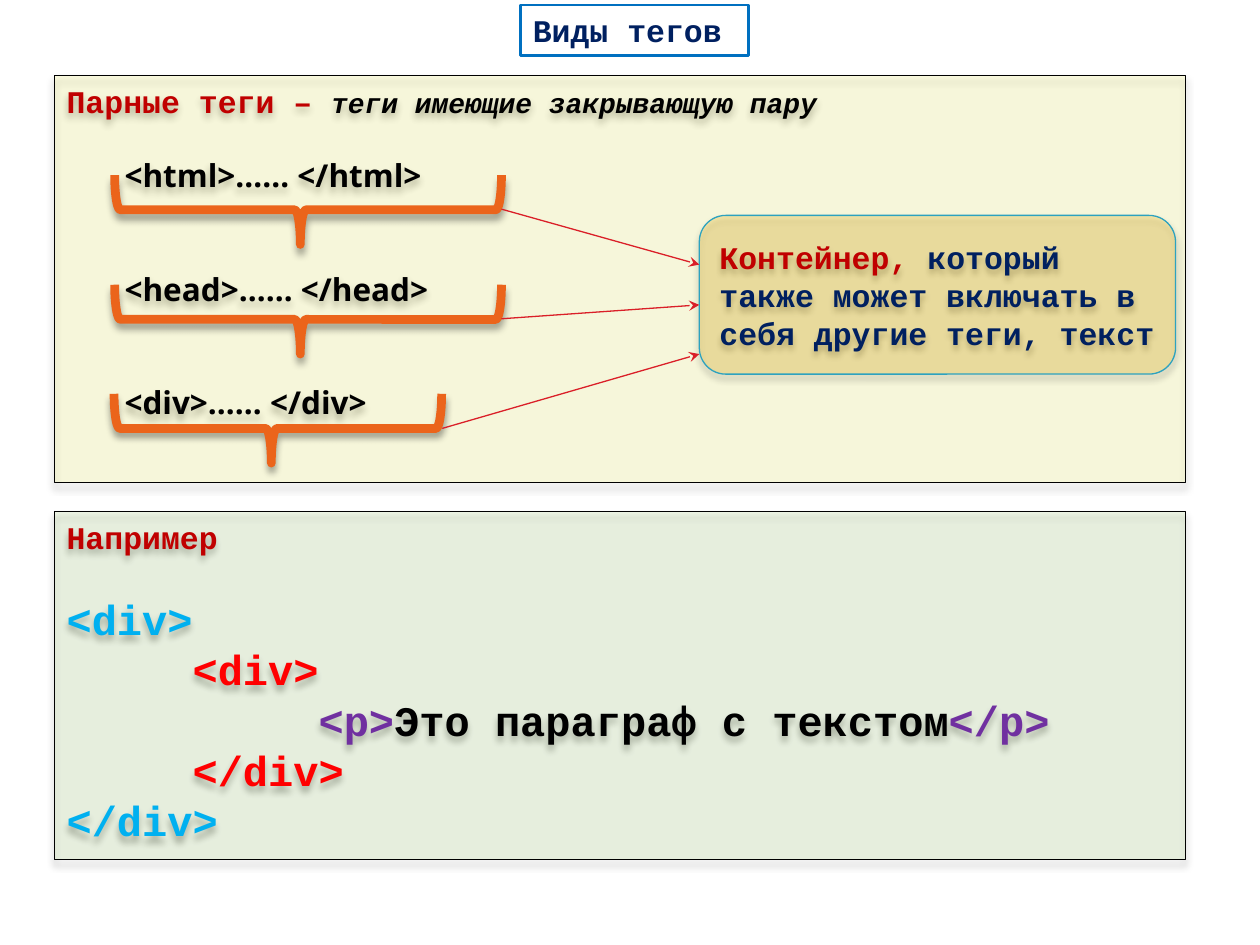
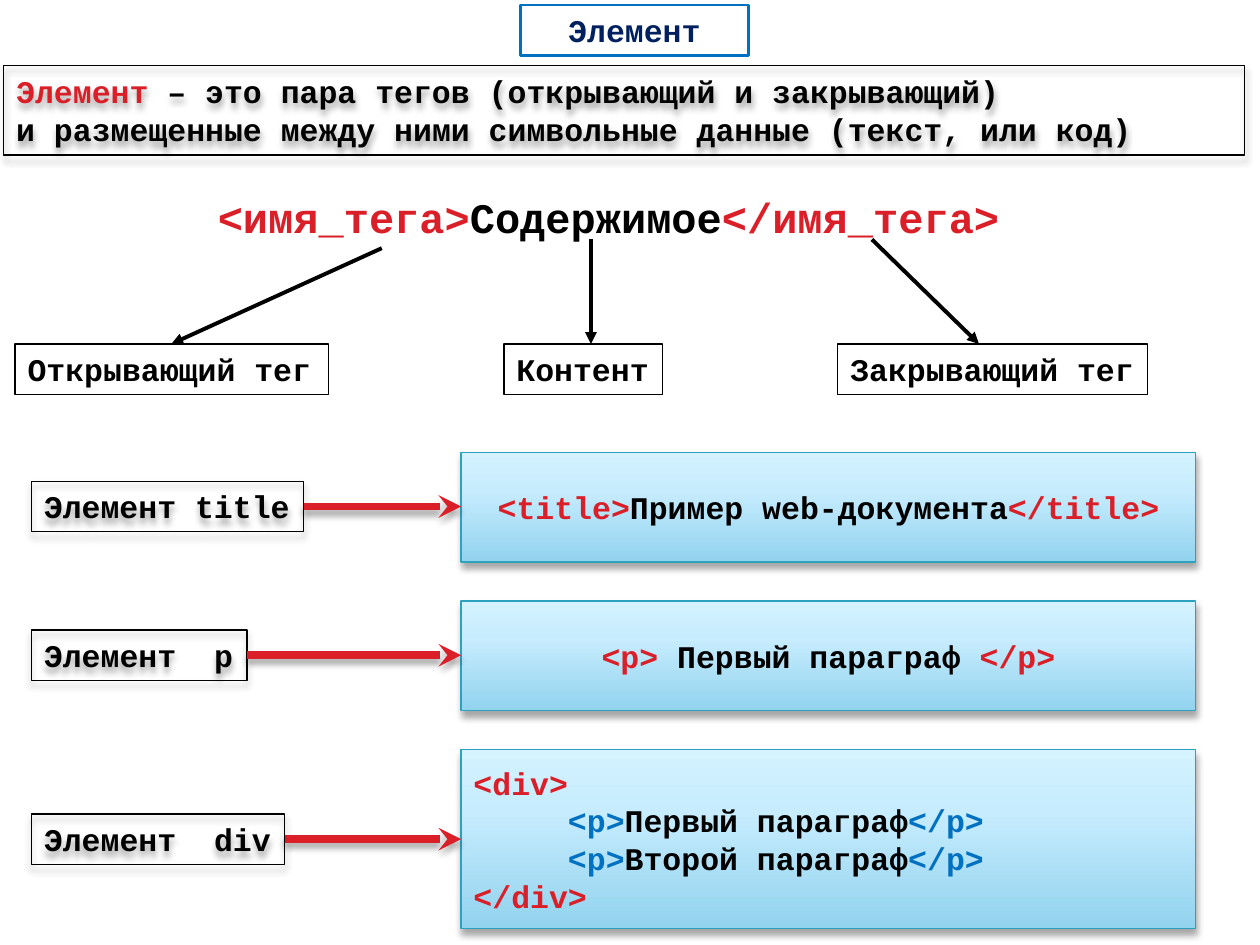
from dataclasses import dataclass
from typing import NamedTuple, Optional

from lxml import etree
from pptx import Presentation, util as u
from pptx.dml import color as col
from pptx.enum import shapes as sh, text as tx
from pptx.oxml import ns

PX = 9144


@dataclass(frozen=True)
class Theme:
    mono: str = "Courier New"
    sans: str = "Noto Sans"
    black: str = "000000"
    red: str = "DA1F28"
    dark: str = "C00000"
    navy: str = "002060"
    blue: str = "0070C0"
    sky: str = "00B0F0"
    hot: str = "FF0000"
    plum: str = "7030A0"
    teal: str = "2DA2BF"
    fire: str = "EB641B"
    lemon: tuple = ("FFFF00", 11)
    amber: tuple = ("FFC000", 22)
    lime: tuple = ("92D050", 13)
    stops: tuple = ((0, "92D3EE"), (65, "C6ECFD"), (100, "D4F2FF"))
    small: int = 16
    body: int = 18
    large: int = 24
    lead: float = 21.6
    thin: float = 0.75


T = Theme()


class Run(NamedTuple):
    text: str
    tint: str = T.black
    size: int = T.body
    font: str = T.mono
    slant: bool = False
    space: int = 0


@dataclass(frozen=True)
class Para:
    runs: tuple
    left: int = 0
    before: float = 0
    lead: Optional[float] = None
    mid: bool = False


class Area(NamedTuple):
    x: int
    y: int
    w: int
    h: int


@dataclass(frozen=True)
class Look:
    line: Optional[str] = T.black
    width: float = T.thin
    fill: Optional[tuple] = None
    grad: bool = False
    shade: bool = False
    mid: bool = False
    wrap: bool = True


class Wire(NamedTuple):
    x1: int
    y1: int
    x2: int
    y2: int


class Row(NamedTuple):
    y: int
    h: int
    w: int
    name: tuple
    code: tuple


TITLE = Look(line=T.blue, width=1.5)
TAG = Look(wrap=False)
SHADE = Look(shade=True)
LABEL = Look(shade=True, wrap=False)
CODE = Look(line=T.teal, grad=True, shade=True, mid=True)
BRACE = Look(line=T.fire, width=5, shade=True)


def rgb(tint: str) -> col.RGBColor:
    return col.RGBColor.from_string(tint)


def sub(node, tag: str, **keys):
    return etree.SubElement(node, ns.qn("a:" + tag), **{k: str(v) for k, v in keys.items()})


def cast(node) -> None:
    drop = sub(node, "outerShdw", blurRad=50800, dist=38100, dir=5400000, rotWithShape=0)
    sub(sub(drop, "srgbClr", val=T.black), "alpha", val=35000)


def paint(shape, look: Look) -> None:
    props = shape._element.spPr
    if look.grad:
        shape.fill.gradient()
        shape.fill.gradient_angle = 90
        stops = props.find(".//" + ns.qn("a:gsLst"))
        for old in list(stops):
            stops.remove(old)
        for pos, tint in T.stops:
            sub(sub(stops, "gs", pos=pos * 1000), "srgbClr", val=tint)
    elif look.fill:
        tint, part = look.fill
        shape.fill.solid()
        shape.fill.fore_color.rgb = rgb(tint)
        sub(props.find(".//" + ns.qn("a:srgbClr")), "alpha", val=part * 1000)
    else:
        shape.fill.background()
    if look.line:
        shape.line.color.rgb = rgb(look.line)
        shape.line.width = u.Pt(look.width)
    else:
        shape.line.fill.background()
    shape.shadow.inherit = False
    if look.shade:
        cast(props.find(ns.qn("a:effectLst")))


def write(shape, paras: tuple, look: Look) -> None:
    frame = shape.text_frame
    frame.word_wrap = look.wrap
    frame.margin_left = frame.margin_right = 10 * PX
    frame.margin_top = frame.margin_bottom = 5 * PX
    frame.vertical_anchor = tx.MSO_ANCHOR.MIDDLE if look.mid else tx.MSO_ANCHOR.TOP
    for i, para in enumerate(paras):
        p = frame.add_paragraph() if i else frame.paragraphs[0]
        p.alignment = tx.PP_ALIGN.CENTER if para.mid else tx.PP_ALIGN.LEFT
        p.space_before = u.Pt(para.before)
        if para.lead:
            p.line_spacing = u.Pt(para.lead)
        if para.left:
            p._p.get_or_add_pPr().set("marL", str(para.left * PX))
        for run in para.runs:
            r = p.add_run()
            r.text = run.text
            r.font.name = run.font
            r.font.size = u.Pt(run.size)
            r.font.bold = True
            r.font.italic = run.slant
            r.font.color.rgb = rgb(run.tint)
            if run.space:
                r._r.get_or_add_rPr().set("spc", str(run.space))


def box(slide, area: Area, look: Look, paras: tuple = (), kind=sh.MSO_SHAPE.RECTANGLE):
    shape = slide.shapes.add_shape(kind, *(n * PX for n in area))
    paint(shape, look)
    if paras:
        write(shape, paras, look)
    return shape


def brace(slide, x: int, y: int, w: int) -> None:
    area = Area(x + (w - 55) // 2, y - w // 2, 55, w)
    shape = box(slide, area, BRACE, kind=sh.MSO_SHAPE.RIGHT_BRACE)
    shape.rotation = 90
    shape.adjustments[0] = 0.08
    shape.adjustments[1] = 0.52


def wire(slide, ends: Wire, tint: str, width: float, head: str, shade: bool = False) -> None:
    link = slide.shapes.add_connector(sh.MSO_CONNECTOR.STRAIGHT, *(n * PX for n in ends))
    link.line.color.rgb = rgb(tint)
    link.line.width = u.Pt(width)
    props = link._element.spPr
    sub(props.find(ns.qn("a:ln")), "tailEnd", type=head)
    glow = sub(props, "effectLst")
    if shade:
        cast(glow)


def title(slide, words: str, mid: bool = False) -> None:
    box(slide, Area(413, 4, 181, 40), TITLE, (Para((Run(words, T.navy),), mid=mid),))


def big(words: str, tint: str = T.black) -> Run:
    return Run(words, tint, T.large)


def tag_line(words: str, before: float) -> Para:
    return Para((Run(words, font=T.sans),), 46, before, T.lead)


def inner(words: str) -> Para:
    return Para((Run("<p>", T.blue), Run(words), Run("</p>", T.blue)), 75)


def kinds(slide) -> None:
    box(slide, Area(43, 60, 898, 323), Look(fill=T.lemon, shade=True), (
        Para((Run("Парные теги – ", T.dark),
              Run("теги имеющие закрывающую пару", size=T.small, slant=True))),
        tag_line("<html>…… </html>", 20.8),
        tag_line("<head>…… </head>", 43.3),
        tag_line("<div>…… </div>", 43.3),
    ))
    spans = ((307, 210), (307, 242), (260, 281))
    for i, (w, _) in enumerate(spans):
        brace(slide, 91, 166 + 87 * i, w)
    box(slide, Area(555, 171, 378, 126),
        Look(line=T.teal, fill=T.amber, shade=True, mid=True),
        (Para((Run("Контейнер, ", T.dark),
               Run("который также может включать в себя другие теги, текст", T.navy))),),
        sh.MSO_SHAPE.ROUNDED_RECTANGLE)
    for i, (w, y) in enumerate(spans):
        wire(slide, Wire(91 + w, 166 + 87 * i, 555, y), T.red, T.thin, "stealth")
    box(slide, Area(43, 406, 898, 276), Look(fill=T.lime, shade=True), (
        Para((Run("Например", T.dark),)),
        Para((big("<div>", T.sky),), before=T.lead),
        Para((big("<div>", T.hot),), 100),
        Para((big("<p>", T.plum), big("Это параграф c текстом"), big("</p>", T.plum)), 200),
        Para((big("</div>", T.hot),), 100),
        Para((big("</div>", T.sky),)),
    ))
    title(slide, "Виды тегов")


def parts(slide) -> None:
    box(slide, Area(3, 52, 985, 71), SHADE, (
        Para((Run("Элемент", T.red), Run(" – это пара тегов (открывающий и закрывающий)"))),
        Para((Run("и размещенные между ними символьные данные (текст, или код)"),)),
    ))
    title(slide, "Элемент", True)
    head = slide.shapes.add_textbox(*(n * PX for n in Area(163, 147, 665, 50)))
    write(head, (Para((big("<имя_тега>", T.red), big("Содержимое"),
                       big("</имя_тега>", T.red))),), Look())
    for words, x, w, ends in (
        ("Открывающий тег", 12, 249, Wire(303, 197, 136, 273)),
        ("Контент", 400, 126, Wire(469, 190, 469, 273)),
        ("Закрывающий тег", 665, 246, Wire(692, 190, 777, 273)),
    ):
        box(slide, Area(x, 273, w, 40), TAG, (Para((Run(words),)),))
        wire(slide, ends, T.black, 2.25, "triangle")
    wide = Run(" ", space=1080)
    rows = (
        Row(359, 87, 216, (Run("Элемент title"),),
            (Para((Run("<title>", T.red), Run("Пример web-документа"),
                   Run("</title>", T.red)), mid=True),)),
        Row(477, 87, 171, (Run("Элемент"), wide, Run("p")),
            (Para((Run("<p> ", T.red), Run("Первый параграф"),
                   Run(" </p>", T.red)), mid=True),)),
        Row(595, 142, 201, (Run("Элемент"), wide, Run("div")),
            (Para((Run("<div>", T.red),)), inner("Первый параграф"),
             inner("Второй параграф"), Para((Run("</div>", T.red),)))),
    )
    for row in rows:
        y = row.y + row.h // 2
        box(slide, Area(366, row.y, 583, row.h), CODE, row.code)
        box(slide, Area(25, y - 20, row.w, 40), LABEL, (Para(row.name),))
        wire(slide, Wire(25 + row.w, y, 366, y), T.red, 4.33, "stealth", True)


def main() -> None:
    deck = Presentation()
    deck.slide_width, deck.slide_height = 1000 * PX, 750 * PX
    for draw in (kinds, parts):
        draw(deck.slides.add_slide(deck.slide_layouts[6]))
    deck.save("out.pptx")


if __name__ == "__main__":
    main()
